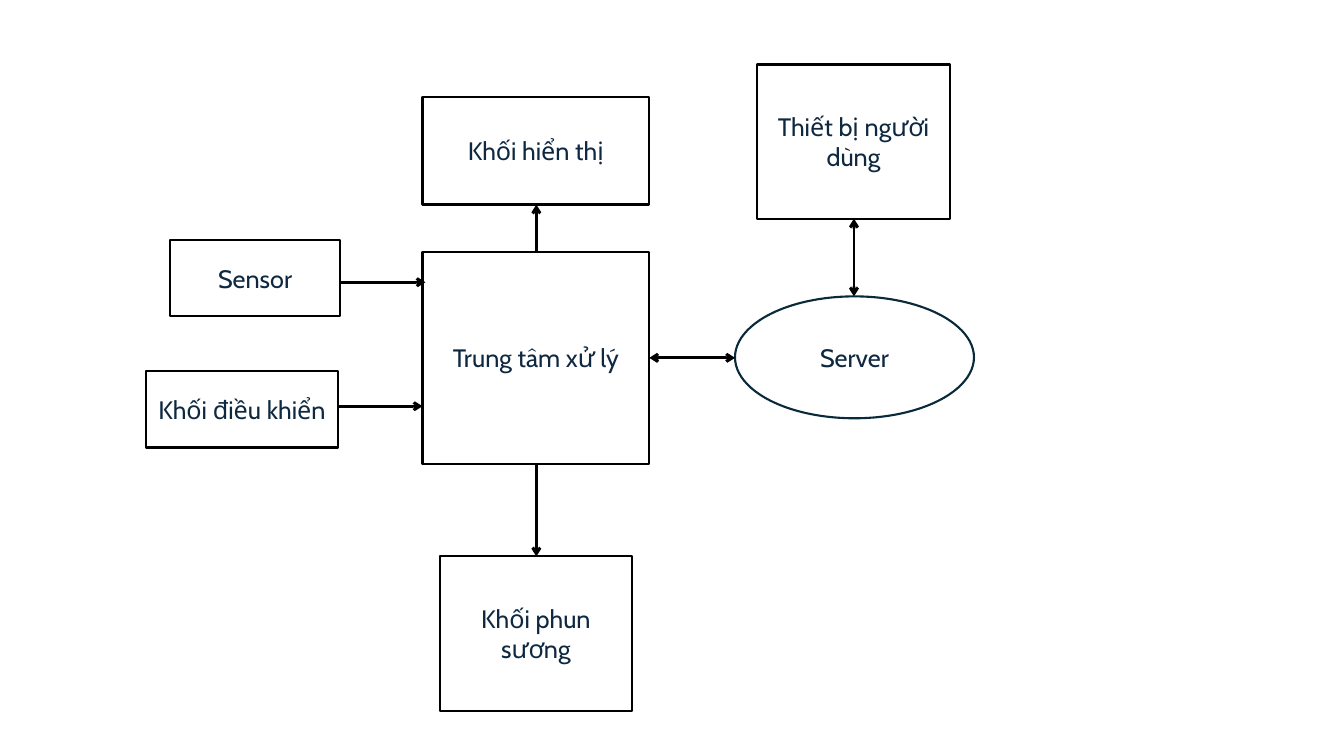
"""Build a block diagram of a misting controller and its connected parts."""
from lxml import etree
from pptx import Presentation
from pptx.dml.color import RGBColor
from pptx.enum import shapes, text
from pptx.oxml.ns import qn
from pptx.util import Inches, Pt


def color(value):
    return RGBColor.from_string(value)


def write(box, words, size=18, font="Cabin", fill="0E2841"):
    frame = box.text_frame
    frame.word_wrap = True
    frame.vertical_anchor = text.MSO_ANCHOR.MIDDLE
    para = frame.paragraphs[0]
    para.alignment = text.PP_ALIGN.CENTER
    span = para.add_run()
    span.text = words
    span.font.name = font
    span.font.size = Pt(size)
    span.font.color.rgb = color(fill)


deck = Presentation()
deck.slide_width, deck.slide_height = Inches(13.33), Inches(7.5)
page = deck.slides.add_slide(deck.slide_layouts[6])

RECTANGLE = shapes.MSO_SHAPE.RECTANGLE
OVAL = shapes.MSO_SHAPE.OVAL
blocks = [
    ("Trung tâm xử lý", RECTANGLE, "000000", (4.19, 2.5, 2.25, 2.1)),
    ("Sensor", RECTANGLE, "000000", (1.69, 2.38, 1.68, 0.76)),
    ("Khối điều khiển", RECTANGLE, "000000", (1.45, 3.68, 1.9, 0.76)),
    ("Server", OVAL, "092A39", (7.29, 2.94, 2.37, 1.21)),
    ("Khối phun sương", RECTANGLE, "000000", (4.36, 5.52, 1.91, 1.53)),
    ("Thiết bị người dùng", RECTANGLE, "000000", (7.51, 0.64, 1.91, 1.53)),
    ("Khối hiển thị", RECTANGLE, "000000", (4.19, 0.96, 2.25, 1.07)),
]
for words, outline, edge, place in blocks:
    box = page.shapes.add_shape(outline, *map(Inches, place))
    box.shadow.inherit = False
    box.fill.solid()
    box.fill.fore_color.rgb = color("FFFFFF")
    box.line.color.rgb = color(edge)
    box.line.width = Pt(1.5)
    write(box, words)

one_way, two_way = ["tailEnd"], ["headEnd", "tailEnd"]
arrows = [
    ((3.38, 2.8, 4.22, 2.8), one_way),
    ((6.44, 3.55, 7.29, 3.55), two_way),
    ((5.32, 4.6, 5.32, 5.52), one_way),
    ((8.47, 2.17, 8.47, 2.94), two_way),
    ((5.32, 2.5, 5.32, 2.03), one_way),
    ((3.35, 4.03, 4.19, 4.03), one_way),
]
for ends, tips in arrows:
    arrow = page.shapes.add_connector(
        shapes.MSO_CONNECTOR.STRAIGHT, *map(Inches, ends))
    arrow.line.color.rgb = color("000000")
    arrow.line.width = Pt(2)
    for tip in tips:
        etree.SubElement(arrow.line._ln, qn(f"a:{tip}"), type="arrow")
    etree.SubElement(arrow._element.spPr, qn("a:effectLst"))

deck.save("out.pptx")
